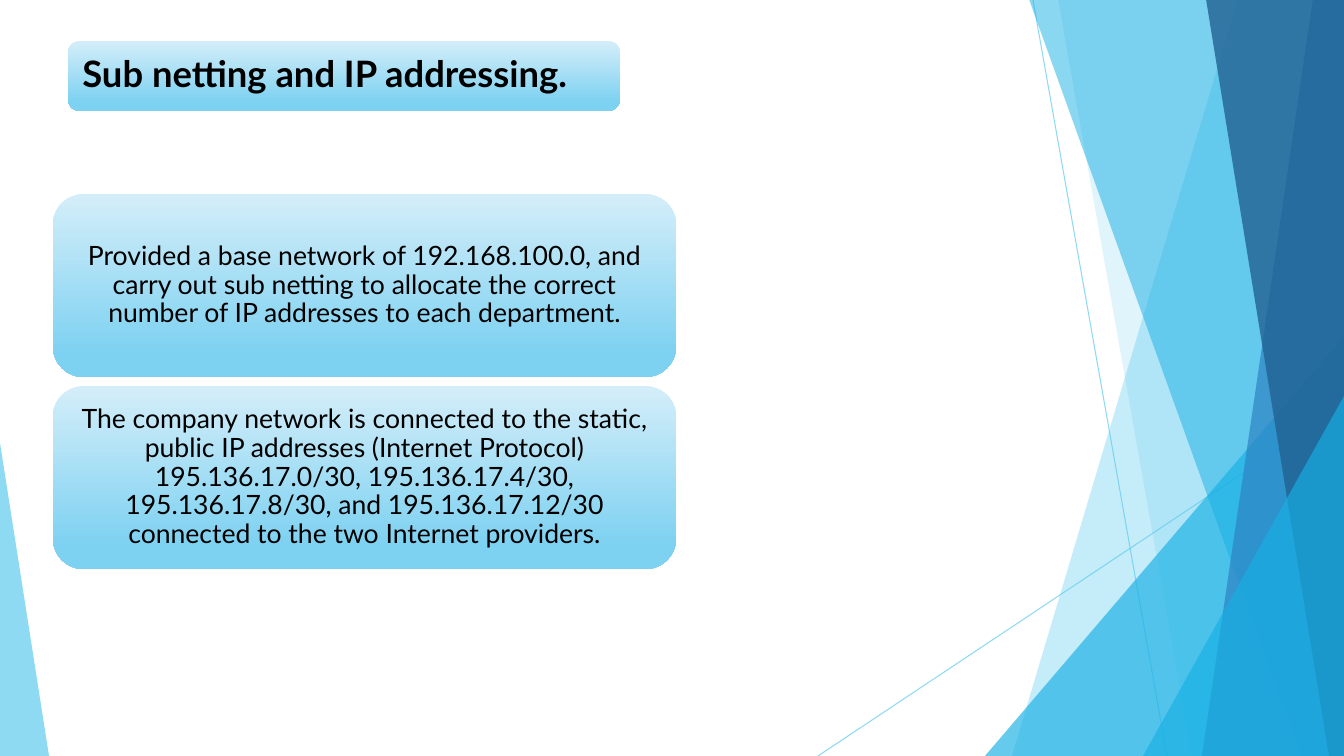
from lxml.etree import SubElement
from pptx import Presentation
from pptx.dml.color import RGBColor
from pptx.enum.shapes import MSO_CONNECTOR, MSO_SHAPE
from pptx.enum.text import MSO_ANCHOR, PP_ALIGN
from pptx.oxml.ns import qn
from pptx.util import Pt

SCALE = 914400 / 100.8
WIDTH, HEIGHT = 1344, 756

SKY = RGBColor(0x5F, 0xCB, 0xEF)
CYAN = RGBColor(0x17, 0xB0, 0xE4)
BLUE = RGBColor(0x2E, 0x83, 0xC3)
NAVY = RGBColor(0x22, 0x62, 0x92)
PALE = RGBColor(0xD4, 0xEE, 0xF9)
LIGHT = RGBColor(0x7D, 0xD1, 0xF1)
BLACK = RGBColor(0, 0, 0)

TITLE = "Sub netting and IP addressing."
CARDS = [
    "Provided a base network of 192.168.100.0, and carry out sub netting to allocate "
    "the correct number of IP addresses to each department.",
    "The company network is connected to the static, public IP addresses (Internet Protocol) "
    "195.136.17.0/30, 195.136.17.4/30, 195.136.17.8/30, and 195.136.17.12/30 connected "
    "to the two Internet providers.",
]
CARD_LEFT, CARD_TOP, CARD_WIDTH, CARD_HEIGHT, CARD_GAP = 53, 194, 623, 183, 9

RAYS = [((1033, 0), (1167, HEIGHT)), ((WIDTH, 406), (818, HEIGHT))]
FACETS = [
    ("band", 1238, 1012, SKY, 36),
    ("band", 1058, 1192, SKY, 20),
    ("corner", 985, 336, CYAN, 66),
    ("band", 1029, 1301, CYAN, 50),
    ("band", 1313, 1202, BLUE, 70),
    ("band", 1206, 1329, NAVY, 80),
    ("corner", 1143, 396, CYAN, 66),
]
LEFT_FACET = (49, 443)


def emu(pixels):
    return round(pixels * SCALE)


def set_opacity(properties, percent):
    color = next(properties.iter(qn("a:srgbClr")))
    SubElement(color, qn("a:alpha")).set("val", str(percent * 1000))


def tint(shape, color, opacity):
    shape.shadow.inherit = False
    shape.fill.solid()
    shape.fill.fore_color.rgb = color
    set_opacity(shape.fill._xPr, opacity)
    shape.line.fill.background()


def add_ray(slide, start, end):
    ray = slide.shapes.add_connector(MSO_CONNECTOR.STRAIGHT, *map(emu, start + end))
    ray.line.color.rgb = SKY
    ray.line.width = Pt(0.75)
    properties = ray._element.spPr
    set_opacity(properties, 70)
    SubElement(properties, qn("a:effectLst"))


def add_band(slide, top_x, bottom_x, color, opacity):
    builder = slide.shapes.build_freeform(top_x, -1, SCALE)
    builder.add_line_segments([(WIDTH, -1), (WIDTH, HEIGHT), (bottom_x, HEIGHT)], close=True)
    tint(builder.convert_to_shape(), color, opacity)


def add_corner(slide, left, right, top, apex, color, opacity):
    corner = slide.shapes.add_shape(
        MSO_SHAPE.ISOSCELES_TRIANGLE, *map(emu, (left, top, right - left, HEIGHT - top)))
    corner.adjustments[0] = apex
    tint(corner, color, opacity)


def add_card(slide, box, text, size, alignment, margins, bold=False):
    card = slide.shapes.add_shape(MSO_SHAPE.ROUNDED_RECTANGLE, *map(emu, box))
    card.shadow.inherit = False
    card.line.fill.background()
    card.fill.gradient()
    card.fill.gradient_angle = 270
    for stop, position, color in zip(card.fill.gradient_stops, (0, 0.88), (PALE, LIGHT)):
        stop.position = position
        stop.color.rgb = color
    frame = card.text_frame
    frame.word_wrap = True
    frame.vertical_anchor = MSO_ANCHOR.MIDDLE
    frame.margin_left = frame.margin_right = emu(margins[0])
    frame.margin_top = frame.margin_bottom = emu(margins[1])
    frame.text = text
    paragraph = frame.paragraphs[0]
    paragraph.alignment = alignment
    paragraph.line_spacing = 0.9
    font = paragraph.runs[0].font
    font.name = "Lato"
    font.size = Pt(size)
    font.bold = bold
    font.color.rgb = BLACK


def main():
    presentation = Presentation()
    presentation.slide_width = emu(WIDTH)
    presentation.slide_height = emu(HEIGHT)
    slide = presentation.slides.add_slide(presentation.slide_layouts[6])

    for start, end in RAYS:
        add_ray(slide, start, end)
    for kind, first, second, color, opacity in FACETS:
        if kind == "band":
            add_band(slide, first, second, color, opacity)
        else:
            add_corner(slide, first, WIDTH, second, 1, color, opacity)
    right, top = LEFT_FACET
    add_corner(slide, 0, right, top, 0, SKY, 70)

    add_card(slide, (68, 41, 552, 70), TITLE, 26, PP_ALIGN.LEFT, (11, 11), bold=True)
    for index, text in enumerate(CARDS):
        card_top = CARD_TOP + index * (CARD_HEIGHT + CARD_GAP)
        box = (CARD_LEFT, card_top, CARD_WIDTH, CARD_HEIGHT)
        add_card(slide, box, text, 19, PP_ALIGN.CENTER, (8, 4))

    presentation.save("out.pptx")


if __name__ == "__main__":
    main()
